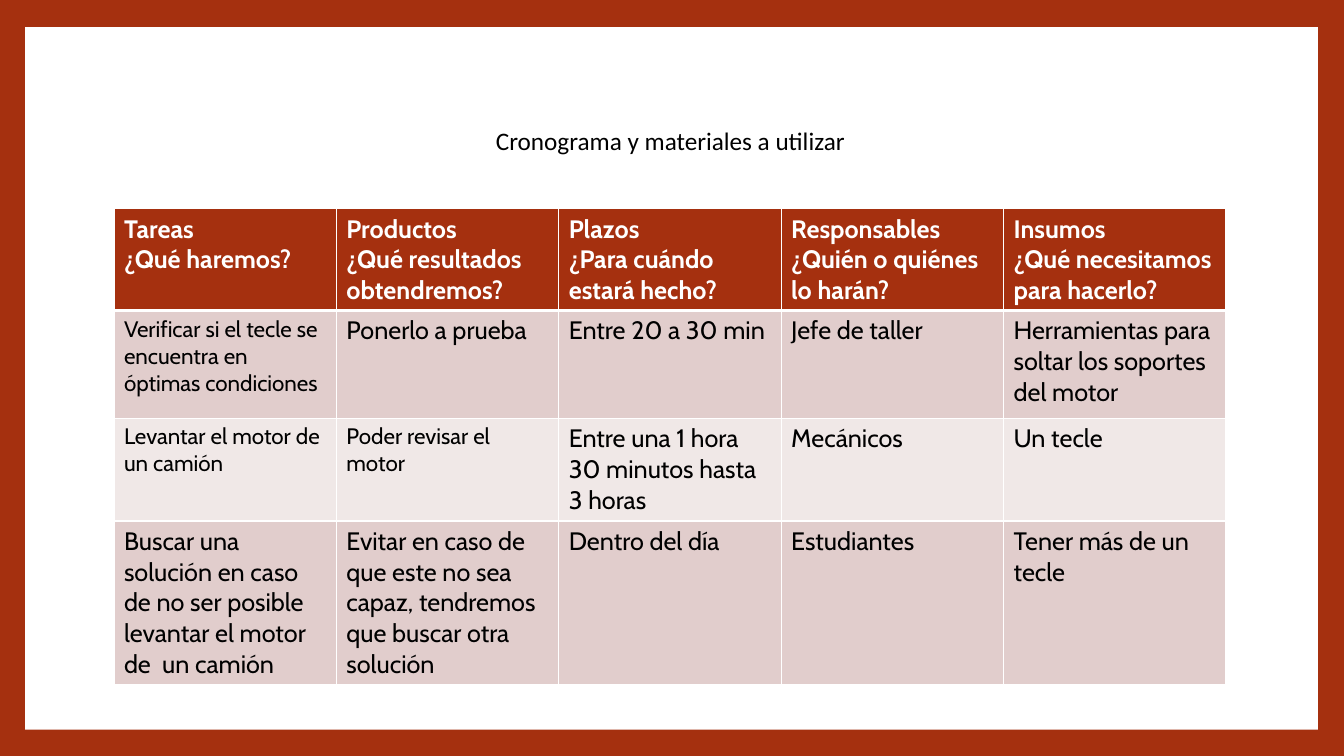
from lxml.etree import SubElement
from pptx import Presentation
from pptx.dml.color import RGBColor
from pptx.enum.shapes import MSO_SHAPE
from pptx.enum.text import MSO_ANCHOR, PP_ALIGN
from pptx.oxml import parse_xml
from pptx.oxml.ns import nsdecls, qn
from pptx.util import Inches, Pt

# Content
TITLE = "Cronograma y materiales a utilizar"
HEADERS = [
    ("Tareas", "¿Qué haremos?"),
    ("Productos", "¿Qué resultados obtendremos?"),
    ("Plazos", "¿Para cuándo estará hecho?"),
    ("Responsables", "¿Quién o quiénes lo harán?"),
    ("Insumos", "¿Qué necesitamos para hacerlo?"),
]
TASKS = [
    ("Verificar si el tecle se encuentra en óptimas condiciones", "Ponerlo a prueba",
     "Entre 20 a 30 min", "Jefe de taller",
     "Herramientas para soltar los soportes del motor"),
    ("Levantar el motor de un camión", "Poder revisar el motor",
     "Entre una 1 hora 30 minutos hasta 3 horas", "Mecánicos", "Un tecle"),
    ("Buscar una solución en caso de no ser posible levantar el motor de  un camión",
     "Evitar en caso de que este no sea capaz, tendremos que buscar otra solución",
     "Dentro del día", "Estudiantes", "Tener más de un tecle"),
]
SMALL_CELLS = {(1, 0), (2, 0), (2, 1)}  # row, column

# Style
RUST = RGBColor(0xA5, 0x30, 0x0F)
WHITE = RGBColor(0xFF, 0xFF, 0xFF)
BLACK = RGBColor(0, 0, 0)
BANDS = [RGBColor(0xE1, 0xCD, 0xCC), RGBColor(0xF0, 0xE8, 0xE7)]
TEXT_SIZE, SMALL_SIZE = 18, 16

# Layout in inches
SLIDE_WIDTH, SLIDE_HEIGHT = 13.33, 7.5
PANEL = (0.25, 0.27, 12.82, 6.97)
TITLE_BOX = (1.25, 0.67, 10.8, 1.48)
TABLE_LEFT, TABLE_TOP, TABLE_WIDTH = 1.13, 2.07, 11.03
ROW_HEIGHTS = [1.01, 1.07, 1.02, 1.62]


def add_text(paragraph, text, font_name, size, color, bold=False):
    run = paragraph.add_run()
    run.text = text
    run.font.name = font_name
    run.font.size = Pt(size)
    run.font.color.rgb = color
    run.font.bold = bold


def set_borders(cell, is_header, below_header):
    widths = {"L": 1, "R": 1, "T": 3 if below_header else 1, "B": 3 if is_header else 1}
    properties = cell._tc.get_or_add_tcPr()
    for index, (side, width) in enumerate(widths.items()):
        line = parse_xml(f'<a:ln{side} {nsdecls("a")} w="{Pt(width)}"/>')
        fill = SubElement(line, qn("a:solidFill"))
        SubElement(fill, qn("a:srgbClr"), val=str(WHITE))
        properties.insert(index, line)


def fill_cell(cell, row, column, lines):
    is_header = row == 0
    cell.fill.solid()
    cell.fill.fore_color.rgb = RUST if is_header else BANDS[(row - 1) % 2]
    set_borders(cell, is_header, row == 1)
    size = SMALL_SIZE if (row, column) in SMALL_CELLS else TEXT_SIZE
    frame = cell.text_frame
    for index, line in enumerate(lines):
        paragraph = frame.add_paragraph() if index else frame.paragraphs[0]
        add_text(paragraph, line, "Cabin", size, WHITE if is_header else BLACK, is_header)


def main():
    presentation = Presentation()
    presentation.slide_width = Inches(SLIDE_WIDTH)
    presentation.slide_height = Inches(SLIDE_HEIGHT)
    slide = presentation.slides.add_slide(presentation.slide_layouts[6])

    # Rust frame around a white panel
    slide.background.fill.solid()
    slide.background.fill.fore_color.rgb = RUST
    panel = slide.shapes.add_shape(MSO_SHAPE.RECTANGLE, *map(Inches, PANEL))
    panel.shadow.inherit = False
    panel.fill.solid()
    panel.fill.fore_color.rgb = WHITE
    panel.line.fill.background()

    # Title
    frame = slide.shapes.add_textbox(*map(Inches, TITLE_BOX)).text_frame
    frame.word_wrap = True
    frame.vertical_anchor = MSO_ANCHOR.MIDDLE
    paragraph = frame.paragraphs[0]
    paragraph.alignment = PP_ALIGN.CENTER
    paragraph.line_spacing = 0.9
    add_text(paragraph, TITLE, "Calibri", TEXT_SIZE, BLACK)

    # Schedule table
    rows = [HEADERS] + [[(text,) for text in task] for task in TASKS]
    table = slide.shapes.add_table(
        len(rows), len(HEADERS), Inches(TABLE_LEFT), Inches(TABLE_TOP),
        Inches(TABLE_WIDTH), Inches(sum(ROW_HEIGHTS))).table
    for row, cells in enumerate(rows):
        table.rows[row].height = Inches(ROW_HEIGHTS[row])
        for column, lines in enumerate(cells):
            fill_cell(table.cell(row, column), row, column, lines)

    presentation.save("out.pptx")


if __name__ == "__main__":
    main()
